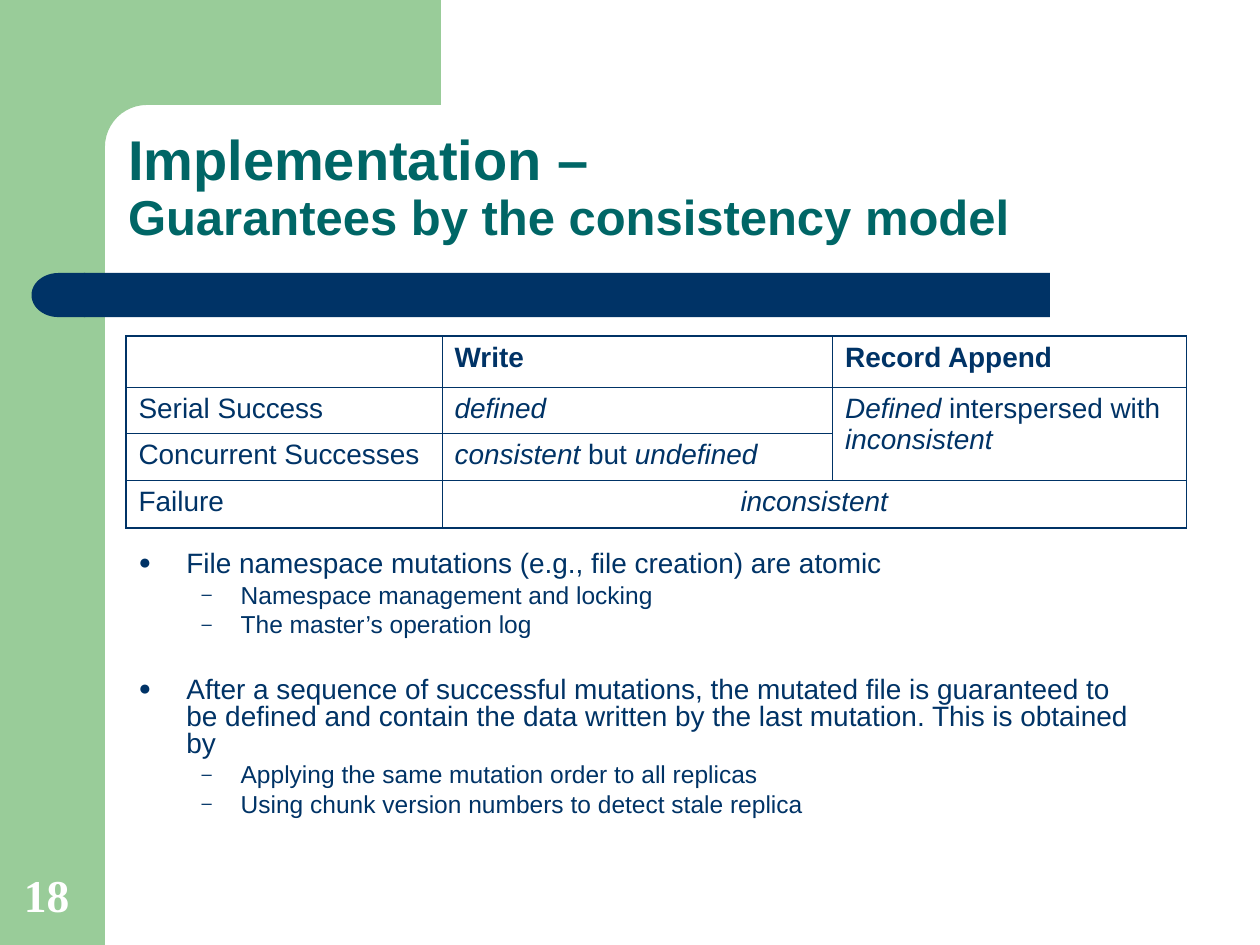
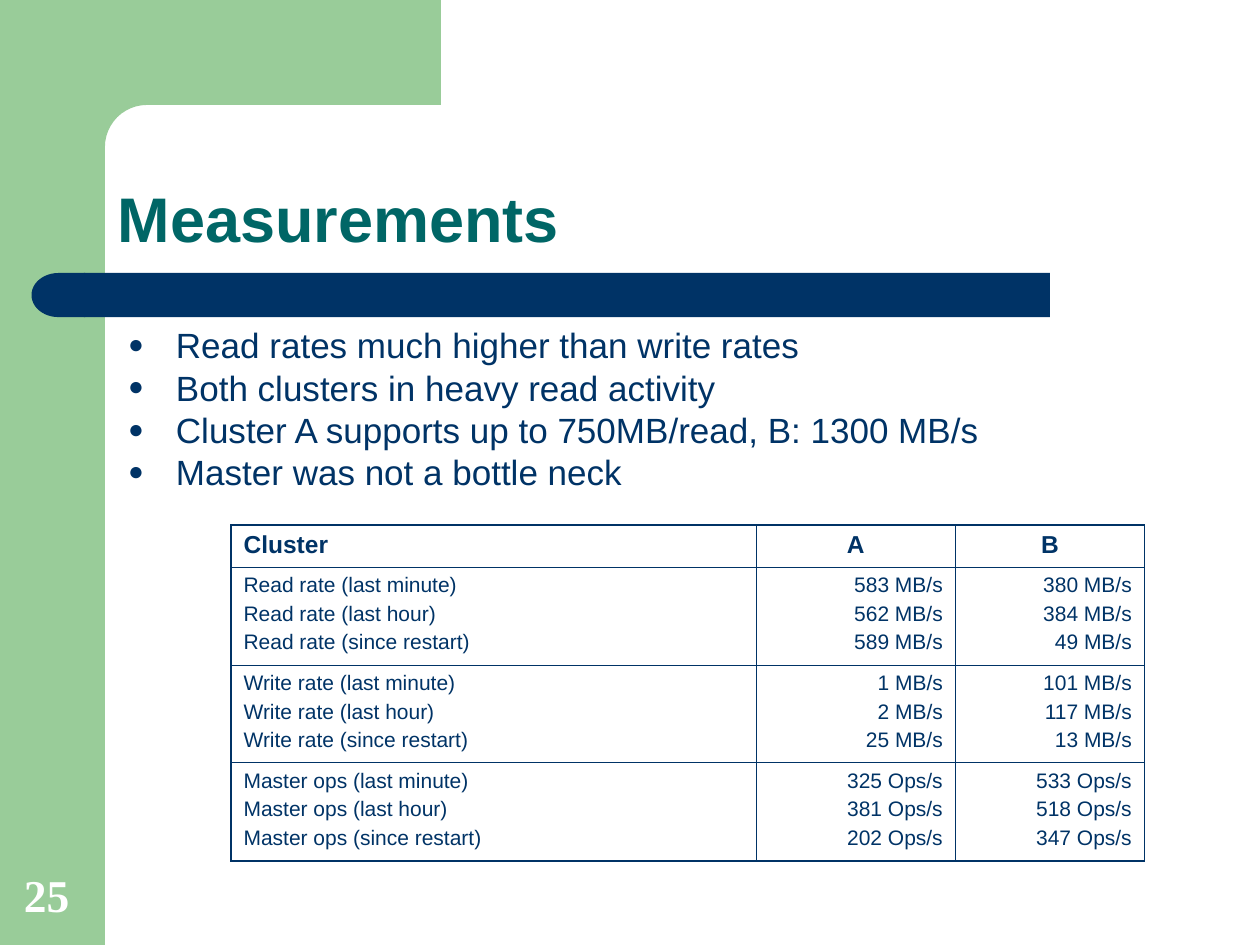
from math import cos, pi, sin

from lxml import etree
from pptx import Presentation
from pptx.dml.color import RGBColor
from pptx.enum.shapes import MSO_SHAPE
from pptx.enum.text import MSO_ANCHOR, MSO_AUTO_SIZE, PP_ALIGN
from pptx.oxml.ns import qn
from pptx.util import Inches, Pt

RECTANGLE, DELAY = MSO_SHAPE.RECTANGLE, MSO_SHAPE.FLOWCHART_DELAY
LEFT, CENTER, RIGHT = PP_ALIGN.LEFT, PP_ALIGN.CENTER, PP_ALIGN.RIGHT
BOTTOM, NO_AUTOFIT = MSO_ANCHOR.BOTTOM, MSO_AUTO_SIZE.NONE

COLORS = {"leaf": "99CC99", "navy": "003366", "teal": "006666", "white": "FFFFFF"}
SANS, SERIF = "Arial", "Times New Roman"
COLUMNS, ROWS = 120, 90
OUTER_LINE, INNER_LINE = Pt(1.08), Pt(0.45)

# Bullet sign, left margin and hanging indent (inches) of each list level
LEVELS = [("●", 0.38, -0.38), ("–", 0.81, -0.31)]


def rgb(name):
    return RGBColor.from_string(COLORS[name])


class Deck:
    """Slides on a grid of 120 columns and 90 rows."""

    def __init__(self):
        self.prs = Presentation()
        self.prs.slide_width, self.prs.slide_height = Inches(10), Inches(7.5)
        self.layout = self.prs.slide_layouts[1]
        self.slide = None

    def x(self, columns):
        return round(self.prs.slide_width * columns / COLUMNS)

    def y(self, rows):
        return round(self.prs.slide_height * rows / ROWS)

    def box(self, left, top, width, height):
        return self.x(left), self.y(top), self.x(width), self.y(height)

    # Slides and the frame they share
    def new_slide(self, number):
        first = self.slide is None
        self.slide = self.prs.slides.add_slide(self.layout)
        if first:
            self.move_to_layout(self.frame())
        self.page_number(number)

    def frame(self):
        return [
            self.shape(RECTANGLE, (0, 0, 10, ROWS), "leaf"),
            self.corner(),
            self.shape(RECTANGLE, (8, 26, 92, 4.2), "navy"),
            self.band_end(),
        ]

    def band_end(self):
        cap = self.shape(DELAY, (3, 26, 5.1, 4.2), "navy")
        cap.rotation = 180
        return cap

    def corner(self):
        steps = 12
        angles = [pi / 2 * step / steps for step in range(steps + 1)]
        arc = [(14 - 4 * sin(a), 14 - 4 * cos(a)) for a in angles]
        outline = [(42, 0), (42, 10), *arc, (10, 15.4), (6, 15.4)]
        builder = self.slide.shapes.build_freeform(self.x(6), 0)
        builder.add_line_segments([(self.x(x), self.y(y)) for x, y in outline])
        return self.paint(builder.convert_to_shape(), "leaf")

    def move_to_layout(self, shapes):
        tree = self.layout.element.cSld.spTree
        for order, shape in enumerate(shapes):
            shape.element.nvSpPr.cNvPr.set("id", str(20 + order))
            tree.insert(2 + order, shape.element)

    def shape(self, kind, place, color):
        return self.paint(self.slide.shapes.add_shape(kind, *self.box(*place)), color)

    def paint(self, shape, color):
        shape.shadow.inherit = False
        shape.fill.solid()
        shape.fill.fore_color.rgb = rgb(color)
        shape.line.fill.background()
        return shape

    # Text
    def add_runs(self, paragraph, text, size, color="navy", bold=False, font=SANS):
        """Add runs; words between asterisks are italic."""
        for order, words in enumerate(text.split("*")):
            if words:
                run = paragraph.add_run()
                run.text = words
                run.font.name, run.font.size = font, Pt(size)
                run.font.bold, run.font.italic = bold, order % 2 == 1
                run.font.color.rgb = rgb(color)

    def lines(self, frame, texts):
        for order, text in enumerate(texts):
            yield (frame.add_paragraph() if order else frame.paragraphs[0]), text

    def place(self, holder, place):
        holder.left, holder.top, holder.width, holder.height = self.box(*place)
        holder.text_frame.word_wrap = True
        holder.text_frame.auto_size = NO_AUTOFIT
        return holder.text_frame

    def page_number(self, number):
        place = (1.1, 82, 7.7, 6.4)
        frame = self.place(self.slide.shapes.add_textbox(*self.box(*place)), place)
        frame.vertical_anchor = BOTTOM
        self.add_runs(frame.paragraphs[0], str(number), 26, "white", True, SERIF)

    def title(self, place, parts):
        frame = self.place(self.slide.shapes.title, place)
        frame.vertical_anchor = BOTTOM
        heading = frame.paragraphs[0]
        heading.alignment, heading.line_spacing = LEFT, 0.9
        for order, (text, size) in enumerate(parts):
            if order:
                heading.add_line_break()
            self.add_runs(heading, text, size, "teal", True)

    def bullets(self, place, items, sizes):
        """Items are (level, text) or (level, text, space before)."""
        frame = self.place(self.slide.placeholders[1], place)
        for paragraph, (level, text, *gap) in self.lines(frame, items):
            size = sizes[level]
            paragraph.level, paragraph.line_spacing = level, 0.8
            paragraph.space_before = Pt(gap[0] if gap else size / 4)
            self.bullet(paragraph, *LEVELS[level])
            self.add_runs(paragraph, text, size)

    def bullet(self, paragraph, sign, margin, indent):
        props = paragraph._p.get_or_add_pPr()
        props.set("marL", str(Inches(margin)))
        props.set("indent", str(Inches(indent)))
        color = etree.SubElement(props, qn("a:buClr"))
        etree.SubElement(color, qn("a:srgbClr"), val=COLORS["navy"])
        etree.SubElement(props, qn("a:buSzPct"), val="75000")
        etree.SubElement(props, qn("a:buFont"), typeface=SANS)
        etree.SubElement(props, qn("a:buChar"), char=sign)

    # Tables
    def table(self, corner, widths, heights, rows, sizes, aligns, merges=()):
        """Sizes are for head and body; aligns give (head, body) per column."""
        place = self.box(*corner, sum(widths), sum(heights))
        grid = self.slide.shapes.add_table(len(rows), len(widths), *place).table
        grid.first_row = grid.horz_banding = False
        for column, width in zip(grid.columns, widths):
            column.width = self.x(width)
        for row, height in zip(grid.rows, heights):
            row.height = self.y(height)
        for (top, left), (bottom, right) in merges:
            grid.cell(top, left).merge(grid.cell(bottom, right))
        for r, row in enumerate(rows):
            for c, text in enumerate(row):
                cell = grid.cell(r, c)
                cell.fill.background()
                self.borders(cell, r, c, len(rows), len(widths))
                align = CENTER if cell.is_merge_origin and cell.span_width > 1 else aligns[c][r > 0]
                size = sizes[r > 0]
                for paragraph, line in self.lines(cell.text_frame, text.split("\n")):
                    paragraph.alignment, paragraph.space_before = align, Pt(size / 4)
                    self.add_runs(paragraph, line, size, bold=r == 0)

    def borders(self, cell, r, c, row_count, column_count):
        across = cell.span_width if cell.is_merge_origin else 1
        down = cell.span_height if cell.is_merge_origin else 1
        outer = {
            "a:lnL": c == 0,
            "a:lnR": c + across == column_count,
            "a:lnT": r == 0,
            "a:lnB": r + down == row_count,
        }
        edges = [edge for edge in outer if outer[edge] or not cell.is_spanned]
        for order, edge in enumerate(edges):
            width = OUTER_LINE if outer[edge] else INNER_LINE
            line = etree.Element(qn(edge), w=str(int(width)))
            fill = etree.SubElement(line, qn("a:solidFill"))
            etree.SubElement(fill, qn("a:srgbClr"), val=COLORS["navy"])
            cell._tc.get_or_add_tcPr().insert(order, line)


def consistency_slide(deck):
    deck.new_slide(18)
    deck.title((11, 11, 102, 13), [("Implementation – ", 32), ("Guarantees by the consistency model", 28)])
    guarantees = [
        ["", "Write", "Record Append"],
        ["Serial Success", "*defined*", "*Defined* interspersed with *inconsistent*"],
        ["Concurrent Successes", "*consistent* but *undefined*", ""],
        ["Failure", "*inconsistent*", ""],
    ]
    deck.table((12, 32), [30.1, 37.2, 33.7], [4.5, 4.4, 4.5, 4.5], guarantees, (16, 16),
               [(LEFT, LEFT)] * 3, merges=[((1, 2), (2, 2)), ((3, 1), (3, 2))])
    deck.bullets((12, 52, 98, 29), [
        (0, "File namespace mutations (e.g., file creation) are atomic"),
        (1, "Namespace management and locking"),
        (1, "The master’s operation log"),
        (0, "After a sequence of successful mutations, the mutated file is guaranteed to be defined "
            "and contain the data written by the last mutation. This is obtained by", 22.7),
        (1, "Applying the same mutation order to all replicas"),
        (1, "Using chunk version numbers to detect stale replica"),
    ], sizes=(16, 14))


def measurements_slide(deck):
    deck.new_slide(25)
    deck.title((10, 10, 104, 15), [("Measurements", 36)])
    findings = [
        "Read rates much higher than write rates",
        "Both clusters in heavy read activity",
        "Cluster A supports up to 750MB/read, B: 1300 MB/s",
        "Master was not a bottle neck",
    ]
    deck.bullets((11, 31, 101, 17), [(0, finding) for finding in findings], sizes=(20,))
    periods = ["last minute", "last hour", "since restart"]
    measures = [
        ("Read rate", "MB/s", (583, 562, 589), (380, 384, 49)),
        ("Write rate", "MB/s", (1, 2, 25), (101, 117, 13)),
        ("Master ops", "Ops/s", (325, 381, 202), (533, 518, 347)),
    ]
    rates = [["Cluster", "A", "B"]]
    for measure, unit, *clusters in measures:
        labels = "\n".join(f"{measure} ({period})" for period in periods)
        values = ["\n".join(f"{value} {unit}" for value in cluster) for cluster in clusters]
        rates.append([labels, *values])
    deck.table((22, 50), [50, 19, 18], [4] + [9.33] * 3, rates, (14, 12),
               [(LEFT, LEFT), (CENTER, RIGHT), (CENTER, RIGHT)])


def main():
    deck = Deck()
    consistency_slide(deck)
    measurements_slide(deck)
    deck.prs.save("out.pptx")


if __name__ == "__main__":
    main()
